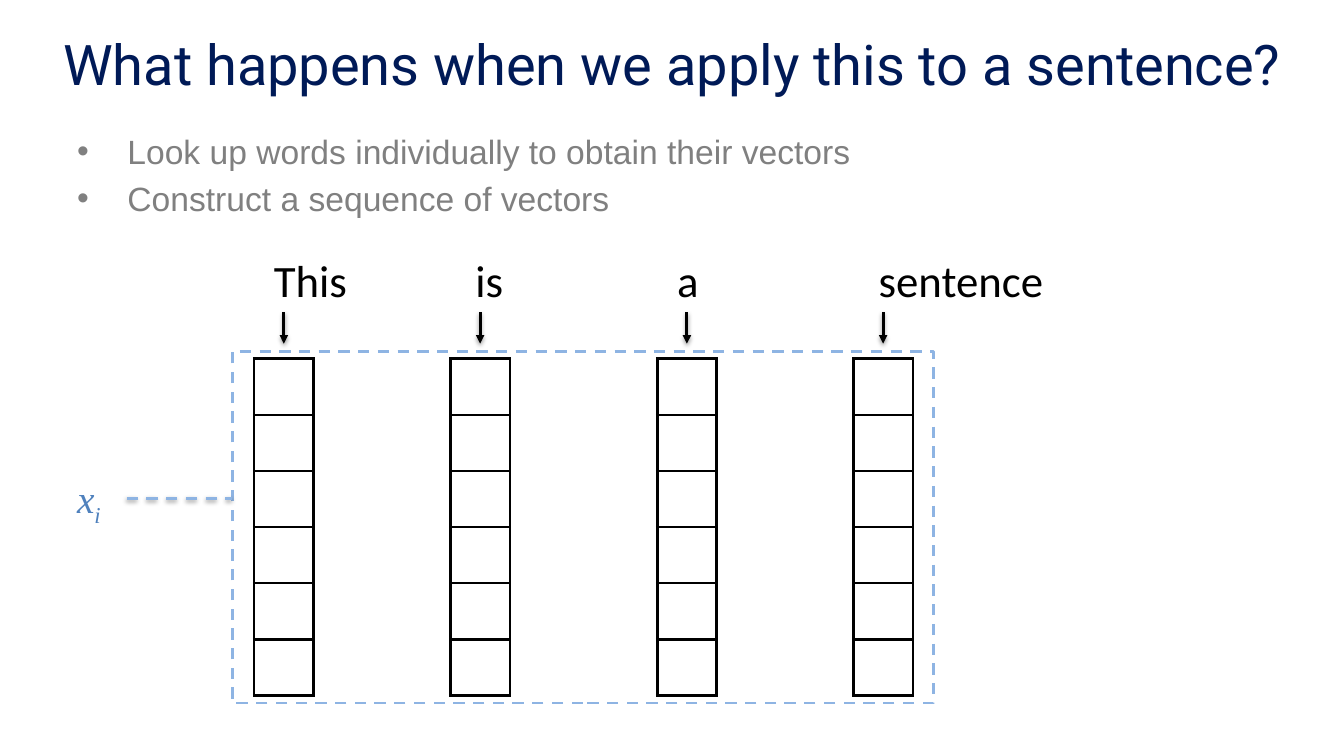
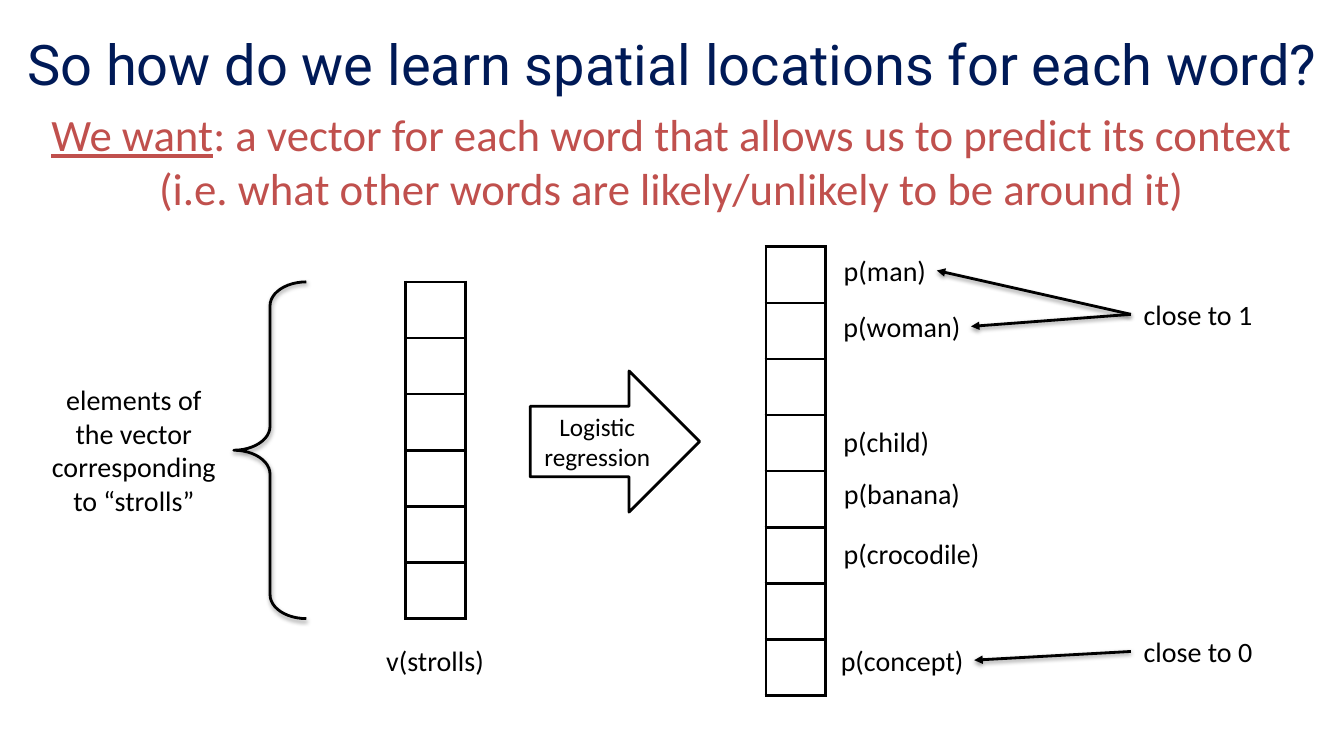
import dataclasses
import lxml.etree
import pptx
import pptx.dml.color
import pptx.enum.dml
import pptx.enum.shapes
import pptx.enum.text
import pptx.oxml.ns
import pptx.util

Pt = pptx.util.Pt
RGB = pptx.dml.color.RGBColor.from_string
qn = pptx.oxml.ns.qn
SubElement = lxml.etree.SubElement
ALIGN = pptx.enum.text.PP_ALIGN
ANCHOR = pptx.enum.text.MSO_ANCHOR
SHAPE = pptx.enum.shapes.MSO_SHAPE
STRAIGHT = pptx.enum.shapes.MSO_CONNECTOR.STRAIGHT
DASH = pptx.enum.dml.MSO_LINE.DASH


@dataclasses.dataclass(frozen=True)
class Theme:
    navy: str = "001A57"
    gray: str = "808080"
    black: str = "000000"
    white: str = "FFFFFF"
    red: str = "C0504D"
    blue: str = "4F81BD"
    light_blue: str = "8EB4E3"
    title_font: str = "Roboto"
    bullet_font: str = "Arial"
    text_font: str = "Calibri"
    math_font: str = "Times New Roman"
    title_size: int = 40
    large_size: int = 32
    math_size: int = 28
    bullet_size: int = 24
    label_size: int = 20
    arrow_size: int = 18
    line_width: float = 2
    border_width: float = 2.25
    cell_width: float = 42.5
    cell_height: float = 40.08
    vector_rows: int = 6


theme = Theme()


def add_text(slide, box, lines, size, color=theme.black, font=theme.text_font,
             align=ALIGN.LEFT, anchor=ANCHOR.TOP, wrap=True):
    shape = slide.shapes.add_textbox(*map(Pt, box))
    frame = shape.text_frame
    frame.word_wrap = wrap
    frame.vertical_anchor = anchor
    frame.text = "\n".join(lines)
    for paragraph in frame.paragraphs:
        paragraph.alignment = align
        for run in paragraph.runs:
            run.font.size = Pt(size)
            run.font.name = font
            run.font.color.rgb = RGB(color)
    return shape


def add_vector(slide, left, top):
    table = slide.shapes.add_table(theme.vector_rows, 1, Pt(left), Pt(top), Pt(theme.cell_width),
                                   Pt(theme.vector_rows * theme.cell_height)).table
    table.first_row = False
    table.horz_banding = False
    for cell in table.iter_cells():
        properties = cell._tc.get_or_add_tcPr()
        for side in ("a:lnL", "a:lnR", "a:lnT", "a:lnB"):
            border = SubElement(properties, qn(side), w=str(Pt(theme.border_width)))
            fill = SubElement(border, qn("a:solidFill"))
            SubElement(fill, qn("a:srgbClr"), val=theme.black)
        cell.fill.background()


presentation = pptx.Presentation()
presentation.slide_width = Pt(960)
presentation.slide_height = Pt(540)

slides = []
for title in ("What happens when we apply this to a sentence?",
              "So how do we learn spatial locations for each word?"):
    slide = presentation.slides.add_slide(presentation.slide_layouts[6])
    add_text(slide, (0, 0, 960, 90), [title], theme.title_size, theme.navy,
             theme.title_font, ALIGN.CENTER, ANCHOR.MIDDLE)
    slides.append(slide)
sentence_slide, learning_slide = slides
arrows = []

bullets = add_text(sentence_slide, (48, 90, 864, 76),
                   ["Look up words individually to obtain their vectors",
                    "Construct a sequence of vectors"],
                   theme.bullet_size, theme.gray, theme.bullet_font)
for paragraph in bullets.text_frame.paragraphs:
    paragraph.space_before = Pt(4.8)
    properties = paragraph._p.get_or_add_pPr()
    properties.set("marL", str(Pt(36)))
    properties.set("indent", str(Pt(-36)))
    SubElement(properties, qn("a:buFont"), typeface=theme.bullet_font)
    SubElement(properties, qn("a:buChar"), char="•")

sentence = add_text(sentence_slide, (188.5, 177, 569.5, 46), ["This\tis\ta\tsentence"],
                    theme.large_size)
tab_stops = SubElement(sentence.text_frame.paragraphs[0]._p.get_or_add_pPr(), qn("a:tabLst"))
for column in (1, 2, 3):
    SubElement(tab_stops, qn("a:tab"), pos=str(Pt(144 * column)), algn="l")

for left in (181.5, 321.7, 469.4, 609.6):
    add_vector(sentence_slide, left, 256.3)
    center = left + theme.cell_width / 2
    arrows.append(sentence_slide.shapes.add_connector(
        STRAIGHT, Pt(center), Pt(223.2), Pt(center), Pt(245.5)))

variable = add_text(sentence_slide, (48, 335.5, 42.5, 41), ["x"], theme.math_size,
                    theme.blue, theme.math_font)
subscript = variable.text_frame.paragraphs[0].add_run()
subscript.text = "i"
for run in variable.text_frame.paragraphs[0].runs:
    run.font.size = Pt(theme.math_size)
    run.font.name = theme.math_font
    run.font.color.rgb = RGB(theme.blue)
    run.font.italic = True
subscript.font._element.set("baseline", "-25000")

sequence_frame = sentence_slide.shapes.add_shape(
    SHAPE.RECTANGLE, Pt(165.9), Pt(250.9), Pt(501), Pt(251.3))
sequence_frame.shadow.inherit = False
sequence_frame.fill.background()
variable_line = sentence_slide.shapes.add_connector(
    STRAIGHT, Pt(90.5), Pt(356), Pt(165.9), Pt(356))
variable_line.begin_connect(variable, 3)
for shape in (sequence_frame, variable_line):
    shape.line.color.rgb = RGB(theme.light_blue)
    shape.line.width = Pt(theme.line_width)
    shape.line.dash_style = DASH

goal = add_text(learning_slide, (25.2, 72.5, 909.4, 85),
                ["We want", "(i.e. what other words are likely/unlikely to be around it)"],
                theme.large_size, theme.red, align=ALIGN.CENTER, wrap=False)
goal_line = goal.text_frame.paragraphs[0]
goal_line.runs[0].font.underline = True
goal_rest = goal_line.add_run()
goal_rest.text = ": a vector for each word that allows us to predict its context"
goal_rest.font.size = Pt(theme.large_size)
goal_rest.font.name = theme.text_font
goal_rest.font.color.rgb = RGB(theme.red)

for left, top in [(289.9, 201.4), (547.2, 176.3), (547.2, 256.4)]:
    add_vector(learning_slide, left, top)

labels = {}
for text, left, top, width in [
    ("v(strolls)", 268.2, 455.8, 85),
    ("p(man)", 595, 177.5, 74.2),
    ("p(woman)", 595, 217.4, 98.6),
    ("p(child)", 595, 299.5, 76.3),
    ("p(banana)", 595, 337, 98.6),
    ("p(crocodile)", 595, 379.4, 112.3),
    ("p(concept)", 592.9, 455.8, 103),
    ("close to 1", 807.8, 208.8, 95.8),
    ("close to 0", 807.8, 449.6, 95.8),
]:
    labels[text] = add_text(learning_slide, (left, top, width, 31.5), [text],
                            theme.label_size, align=ALIGN.CENTER, wrap=False)

add_text(learning_slide, (27.6, 269.6, 136, 104.4),
         ["elements of the vector corresponding to “strolls”"],
         theme.label_size, align=ALIGN.CENTER)

brace = learning_slide.shapes.add_shape(
    SHAPE.LEFT_BRACE, Pt(167), Pt(201.4), Pt(51.8), Pt(240.5))
brace.adjustments[0] = 0.33
brace.fill.background()

regression = learning_slide.shapes.add_shape(
    SHAPE.RIGHT_ARROW, Pt(378.7), Pt(265), Pt(121), Pt(100.8))
regression.shadow.inherit = False
regression.fill.solid()
regression.fill.fore_color.rgb = RGB(theme.white)
regression.text_frame.text = "Logistic regression"
regression.text_frame.word_wrap = True
regression.text_frame.vertical_anchor = ANCHOR.MIDDLE
regression_text = regression.text_frame.paragraphs[0]
regression_text.alignment = ALIGN.CENTER
regression_font = regression_text.runs[0].font
regression_font.size = Pt(theme.arrow_size)
regression_font.name = theme.text_font
regression_font.color.rgb = RGB(theme.black)

for source, target in [("close to 1", "p(man)"), ("close to 1", "p(woman)"),
                       ("close to 0", "p(concept)")]:
    arrow = learning_slide.shapes.add_connector(STRAIGHT, 0, 0, 0, 0)
    arrow.begin_connect(labels[source], 1)
    arrow.end_connect(labels[target], 3)
    arrows.append(arrow)

for shape in (*arrows, brace, regression):
    shape.line.color.rgb = RGB(theme.black)
    shape.line.width = Pt(theme.line_width)

for arrow in arrows:
    SubElement(arrow._element.spPr.find(qn("a:ln")), qn("a:tailEnd"), type="triangle")

for shape in (*arrows, variable_line, brace):
    effects = SubElement(shape._element.spPr, qn("a:effectLst"))
    shadow = SubElement(effects, qn("a:outerShdw"), blurRad=str(Pt(3.1)), dist=str(Pt(1.6)),
                        dir="5400000", rotWithShape="0")
    shadow_color = SubElement(shadow, qn("a:srgbClr"), val=theme.black)
    SubElement(shadow_color, qn("a:alpha"), val="38000")

presentation.save("out.pptx")
